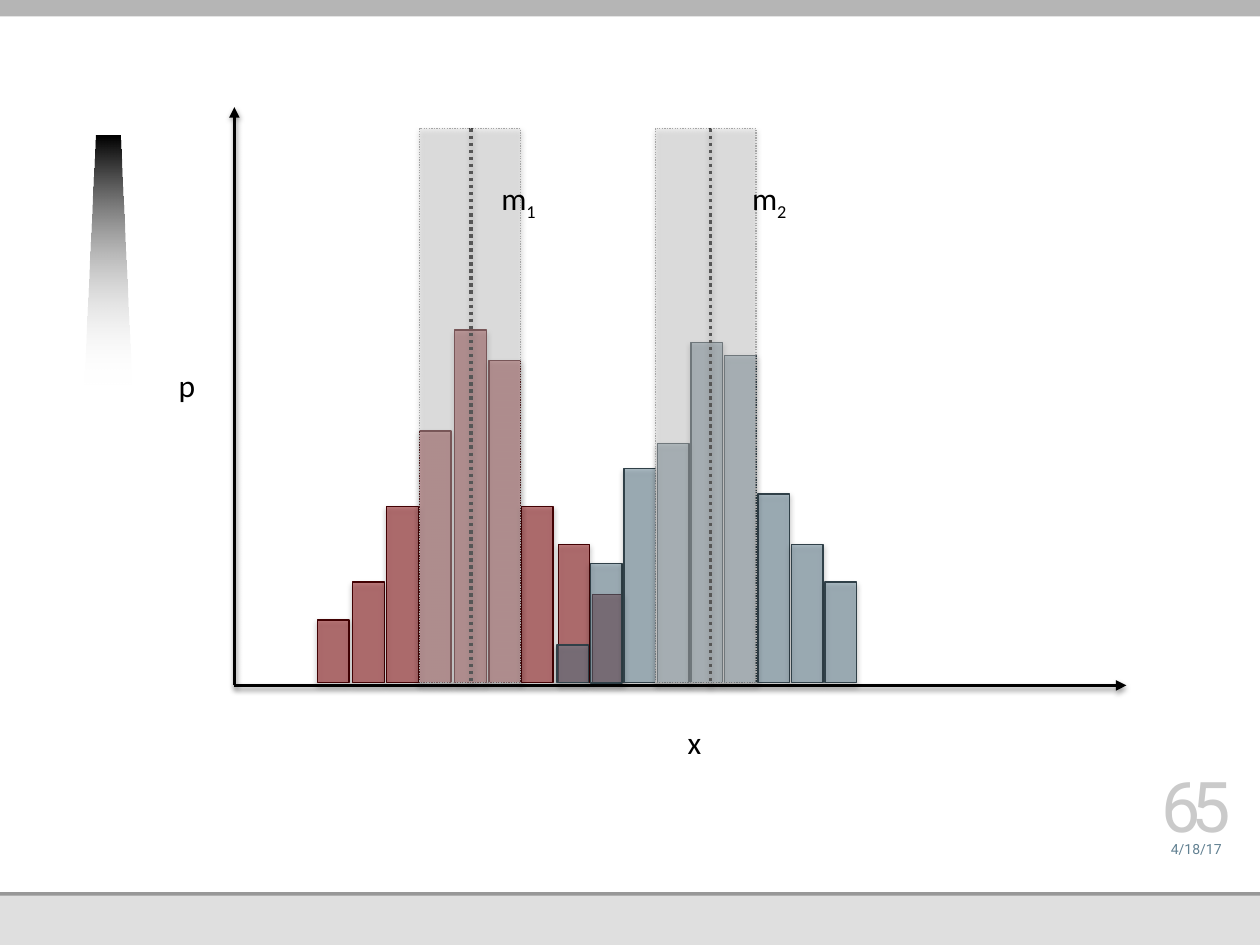
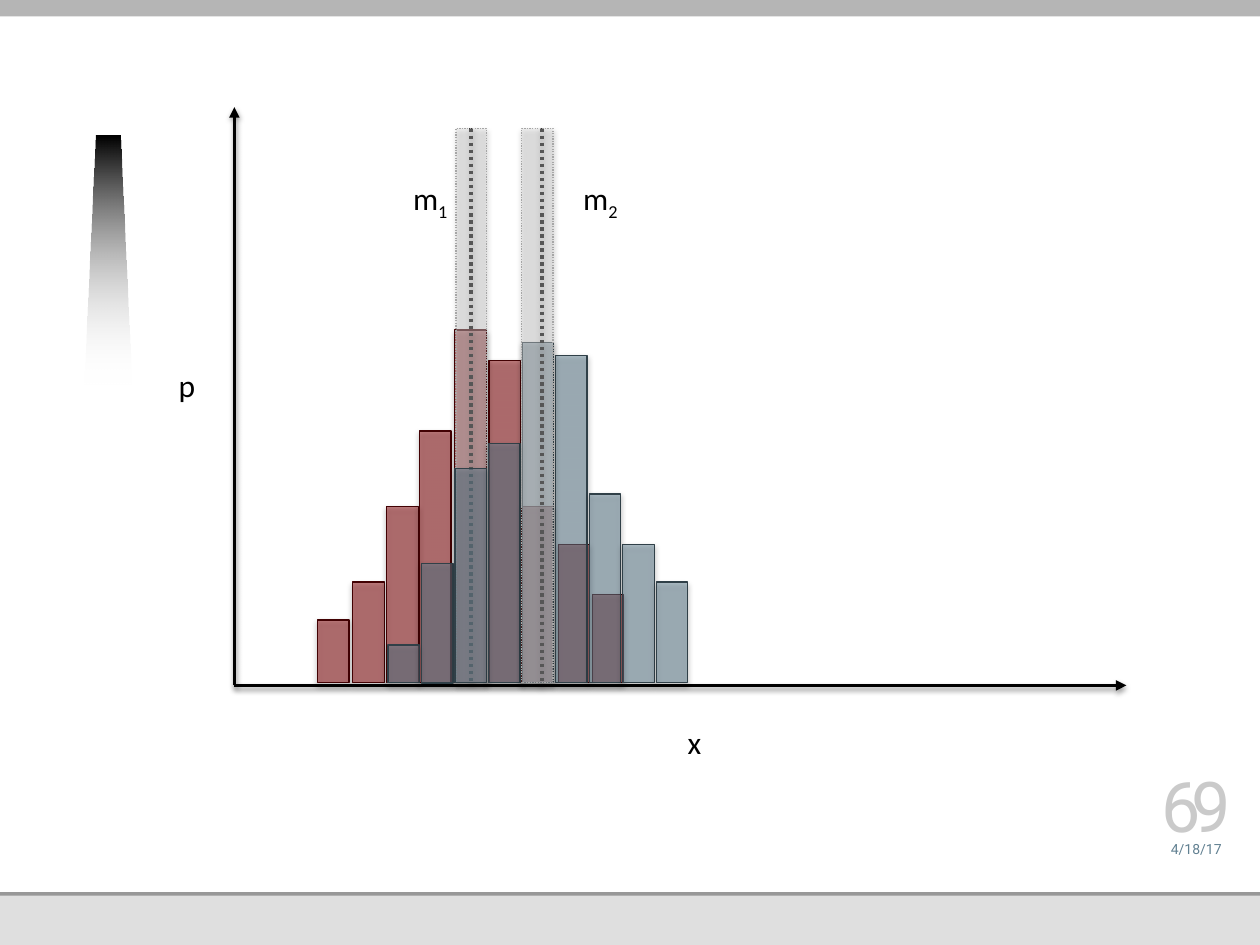
import pptx
import pptx.util
import pptx.dml.color
import pptx.enum.dml
import pptx.enum.shapes
import pptx.enum.text
import pptx.oxml
import pptx.oxml.ns
import lxml.etree

Inches = pptx.util.Inches
Pt = pptx.util.Pt
Color = pptx.dml.color.RGBColor
Anchor = pptx.enum.text.MSO_ANCHOR
DOTS = pptx.enum.dml.MSO_LINE.ROUND_DOT

BLACK = Color(0x00, 0x00, 0x00)
WHITE = Color(0xFF, 0xFF, 0xFF)
RED = Color(0x85, 0x02, 0x05)
MAROON = Color(0x42, 0x01, 0x03)
BLUE = Color(0x61, 0x80, 0x91)
NAVY = Color(0x30, 0x40, 0x48)
PALE = Color(0xD9, 0xD9, 0xD9)
EDGE = Color(0xA6, 0xA6, 0xA6)
NUMBER = Color(0xCA, 0xCA, 0xCA)

STRIPS = [
    (0, 0.13, Color(0xB5, 0xB5, 0xB5)),
    (7.08, 0.42, Color(0xDF, 0xDF, 0xDF)),
    (7.08, 0.03, Color(0x98, 0x98, 0x98)),
]
WEDGE = [(0.67, 3.05), (0.76, 1.08), (0.95, 1.08), (1.04, 3.05)]
DATE = "4/18/17"

BASE = 5.42
FLOOR = 5.44
AXIS = 1.86
TOP = 1.02
WIDTH = 0.25
STEP = 0.266

RED_BARS = [
    (2.52, 0.5), (2.8, 0.8), (3.07, 1.4), (3.33, 2), (3.61, 2.8),
    (3.88, 2.56), (4.14, 1.4), (4.43, 1.1), (4.7, 0.7),
]
BLUE_TALL = [0.3, 0.95, 1.7, 1.9, 2.7, 2.6, 1.5, 1.1, 0.8]

SLIDES = [
    {
        "number": "65",
        "blue": 4.42,
        "order": ["red", "blue", "first", "second"],
        "first": {"sub": "1", "mean": 3.74, "end": BASE, "band": (3.33, 0.8), "label": 3.88},
        "second": {"sub": "2", "mean": 5.64, "end": FLOOR, "band": (5.2, 0.8), "label": 5.87},
    },
    {
        "number": "69",
        "blue": 3.08,
        "order": ["red", "first", "blue", "second"],
        "first": {"sub": "1", "mean": 3.74, "end": BASE, "band": (3.62, 0.24), "label": 3.18},
        "second": {"sub": "2", "mean": 4.3, "end": FLOOR, "band": (4.14, 0.25), "label": 4.53},
    },
]


def child(parent, tag, **attrs):
    node = lxml.etree.SubElement(parent, pptx.oxml.ns.qn(tag))
    for key, value in attrs.items():
        node.set(key, str(value))
    return node


def fade(fill, alpha):
    child(fill, "a:alpha", val=alpha * 1000)


def shade(effect, alpha, gap):
    outer = child(effect, "a:outerShdw", blurRad=Pt(3.1), dist=Pt(gap),
                  dir=90 * 60000, algn="ctr", rotWithShape=0)
    fade(child(outer, "a:srgbClr", val=BLACK), alpha)


def block(slide, left, top, width, height, fill):
    shape = slide.shapes.add_shape(
        pptx.enum.shapes.MSO_SHAPE.RECTANGLE,
        Inches(left), Inches(top), Inches(width), Inches(height))
    shape.shadow.inherit = False
    shape.fill.solid()
    shape.fill.fore_color.rgb = fill
    shape.line.fill.background()
    return shape


def glass(slide, left, width, height, fill, edge, alpha, dash=None):
    shape = block(slide, left, BASE - height, width, height, fill)
    shape.line.color.rgb = edge
    shape.line.width = Pt(0.75)
    if dash:
        shape.line.dash_style = dash
    props = shape.element.spPr
    fade(props.xpath("./a:solidFill/a:srgbClr")[0], alpha)
    shade(props.xpath("./a:effectLst")[0], 35, 1.8)


def stroke(slide, start, end, dash=None):
    line = slide.shapes.add_connector(
        pptx.enum.shapes.MSO_CONNECTOR.STRAIGHT,
        *[Inches(v) for v in start + end])
    line.line.color.rgb = BLACK
    line.line.width = Pt(2)
    props = line.element.spPr
    if dash:
        line.line.dash_style = dash
    else:
        child(props.xpath("./a:ln")[0], "a:tailEnd", type="triangle")
    shade(child(props, "a:effectLst"), 38, 1.6)


def label(slide, left, top, width, text, sub=None):
    frame = slide.shapes.add_textbox(
        Inches(left), Inches(top), Inches(width), Inches(0.4)).text_frame
    frame.word_wrap = False
    frame.auto_size = pptx.enum.text.MSO_AUTO_SIZE.SHAPE_TO_FIT_TEXT
    para = frame.paragraphs[0]
    para.add_run().text = text
    if sub:
        run = para.add_run()
        run.text = sub
        run.font.element.set("baseline", "-25000") if hasattr(run.font, "element") else \
            run._r.get_or_add_rPr().set("baseline", "-25000")
    para.font.name = "Calibri"
    para.font.size = Pt(18)
    para.font.color.rgb = BLACK


def stamp(slide, top, height, text, size, color):
    frame = slide.shapes.add_textbox(
        Inches(9.13), Inches(top), Inches(0.73), Inches(height)).text_frame
    frame.word_wrap = True
    frame.vertical_anchor = Anchor.BOTTOM
    frame.margin_left = frame.margin_right = 0
    frame.margin_top = frame.margin_bottom = 0
    para = frame.paragraphs[0]
    para.alignment = pptx.enum.text.PP_ALIGN.CENTER
    run = para.add_run()
    run.text = text
    para.font.name = "Roboto"
    para.font.size = Pt(size)
    para.font.color.rgb = color
    return run


def wedge(slide):
    points = [(Inches(x), Inches(y)) for x, y in WEDGE]
    pen = slide.shapes.build_freeform(*points[0])
    pen.add_line_segments(points[1:], close=True)
    shape = pen.convert_to_shape()
    shape.shadow.inherit = False
    shape.line.fill.background()
    shape.fill.gradient()
    shape.fill.gradient_angle = 270
    for stop, color in zip(shape.fill.gradient_stops, (BLACK, WHITE)):
        stop.color.rgb = color
    fade(shape.element.spPr.xpath(".//a:gs/a:srgbClr")[-1], 0)


def frame(slide, number):
    for top, height, fill in STRIPS:
        block(slide, 0, top, 10, height, fill)
    wedge(slide)
    stamp(slide, 6.58, 0.22, DATE, 8, BLUE)
    run = stamp(slide, 6.16, 0.56, number, 40, NUMBER)
    run._r.get_or_add_rPr().set("spc", "-500")


def axes(slide):
    for end in ((8.94, FLOOR), (AXIS, 0.85)):
        stroke(slide, (AXIS, FLOOR), end)
    label(slide, 5.36, 5.69, 0.31, "x")
    label(slide, 1.32, 2.86, 0.34, "p")


def mark(slide, spec):
    stroke(slide, (spec["mean"], TOP), (spec["mean"], spec["end"]), DOTS)
    left, width = spec["band"]
    glass(slide, left, width, BASE - TOP, PALE, EDGE, 40, DOTS)
    label(slide, spec["label"], 1.37, 0.49, "m", spec["sub"])


def bars(slide, places, fill, edge):
    for left, height in places:
        glass(slide, left, WIDTH, height, fill, edge, 50)


def main():
    deck = pptx.Presentation()
    deck.slide_width, deck.slide_height = Inches(10), Inches(7.5)
    for plan in SLIDES:
        slide = deck.slides.add_slide(deck.slide_layouts[6])
        frame(slide, plan["number"])
        axes(slide)
        for part in plan["order"]:
            if part == "red":
                bars(slide, RED_BARS, RED, MAROON)
            elif part == "blue":
                places = [(plan["blue"] + i * STEP, tall) for i, tall in enumerate(BLUE_TALL)]
                bars(slide, places, BLUE, NAVY)
            else:
                mark(slide, plan[part])
    deck.save("out.pptx")


if __name__ == "__main__":
    main()
